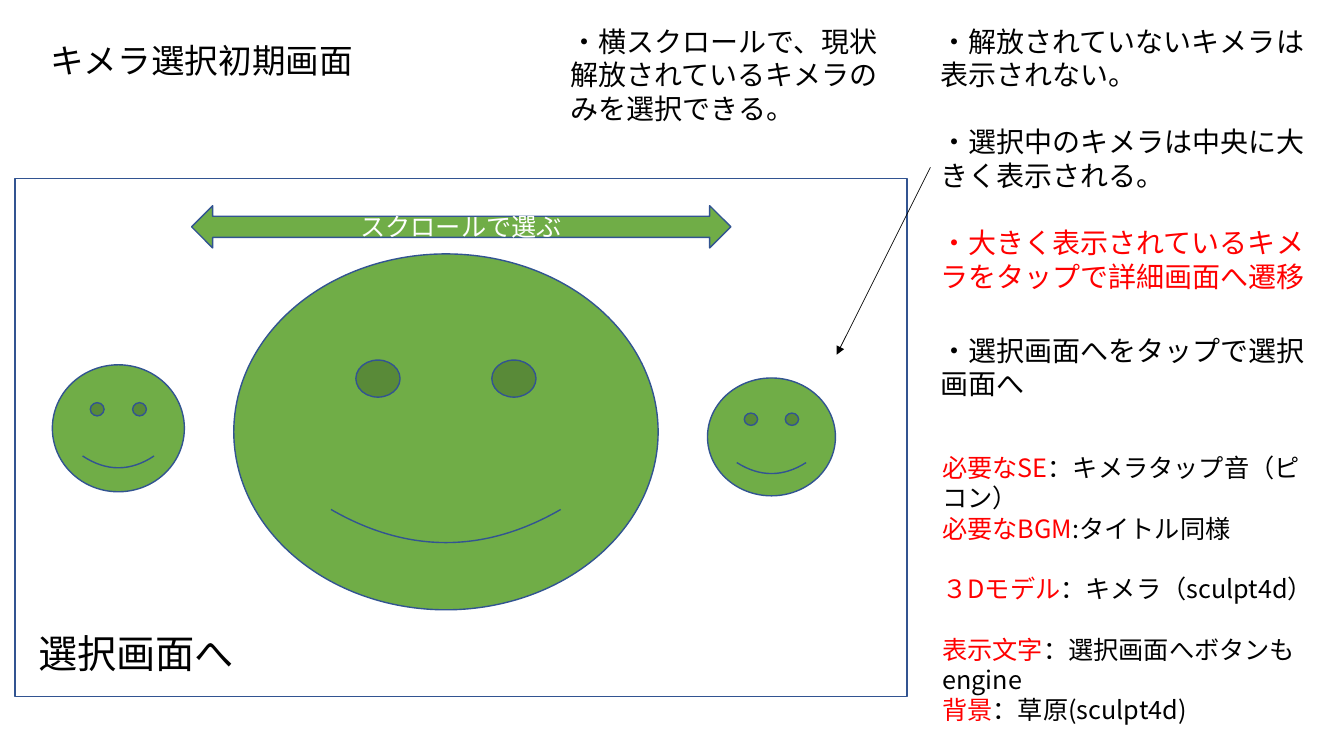
"""Build the initial chimera selection screen slide."""
from dataclasses import dataclass

from lxml.etree import SubElement
from pptx import Presentation
from pptx.dml.color import RGBColor
from pptx.enum.shapes import MSO_CONNECTOR as Connector, MSO_SHAPE as Shape
from pptx.enum.text import MSO_ANCHOR as Anchor, MSO_AUTO_SIZE as AutoSize, PP_ALIGN as Align
from pptx.oxml.ns import qn
from pptx.util import Pt


@dataclass(frozen=True)
class Theme:
    font: str = "Noto Sans CJK JP"
    black: str = "000000"
    white: str = "FFFFFF"
    red: str = "FF0000"
    green: str = "70AD47"
    outline: str = "325491"
    title: int = 24
    note: int = 20
    button: int = 28
    label: int = 18
    leading: float = 1.2
    border: float = 1
    pointer: float = 0.5


class Sketch:
    def __init__(self, page, theme):
        self.page = page
        self.theme = theme

    def style(self, para, size, color, gap=0, align=Align.LEFT):
        para.alignment = align
        para.line_spacing = Pt(size * self.theme.leading)
        para.space_before = Pt(gap)
        para.space_after = Pt(0)
        para.font.size = Pt(size)
        para.font.name = self.theme.font
        para.font.color.rgb = RGBColor.from_string(color)
        for latin in list(para._p.iter(qn("a:latin"))):
            east = SubElement(latin.getparent(), qn("a:ea"), typeface=self.theme.font)
            latin.addnext(east)

    def title(self, text, left, top, width, height):
        box = self.page.shapes.title
        box.left, box.top, box.width, box.height = map(Pt, (left, top, width, height))
        frame = box.text_frame
        frame.text = text
        frame.vertical_anchor = Anchor.TOP
        frame.auto_size = AutoSize.NONE
        self.style(frame.paragraphs[0], self.theme.title, self.theme.black)

    def text(self, items, size, left, top, width, height):
        box = self.page.shapes.add_textbox(*map(Pt, (left, top, width, height)))
        frame = box.text_frame
        frame.word_wrap = True
        for index, (heading, body, color, gap) in enumerate(items):
            para = frame.add_paragraph() if index else frame.paragraphs[0]
            if heading:
                span = para.add_run()
                span.text = heading
                span.font.color.rgb = RGBColor.from_string(self.theme.red)
            para.add_run().text = body
            self.style(para, size, color, gap)

    def shape(self, kind, fill, left, top, width, height, text=""):
        item = self.page.shapes.add_shape(kind, *map(Pt, (left, top, width, height)))
        item.shadow.inherit = False
        item.fill.solid()
        item.fill.fore_color.rgb = RGBColor.from_string(fill)
        item.line.color.rgb = RGBColor.from_string(self.theme.outline)
        item.line.width = Pt(self.theme.border)
        if text:
            frame = item.text_frame
            frame.text = text
            frame.word_wrap = True
            frame.vertical_anchor = Anchor.MIDDLE
            self.style(frame.paragraphs[0], self.theme.label, self.theme.white, align=Align.CENTER)

    def arrow(self, start_x, start_y, end_x, end_y):
        line = self.page.shapes.add_connector(
            Connector.STRAIGHT, *map(Pt, (start_x, start_y, end_x, end_y)))
        line.line.color.rgb = RGBColor.from_string(self.theme.black)
        line.line.width = Pt(self.theme.pointer)
        SubElement(line.line._get_or_add_ln(), qn("a:tailEnd"), type="triangle")
        SubElement(line._element.spPr, qn("a:effectLst"))


def main():
    theme = Theme()
    deck = Presentation()
    deck.slide_width, deck.slide_height = Pt(960), Pt(540)
    sketch = Sketch(deck.slides.add_slide(deck.slide_layouts[5]), theme)
    black, red = theme.black, theme.red
    note_gap = theme.note * theme.leading
    wide_gap = theme.title * theme.leading
    asset_gap = theme.label * theme.leading

    sketch.title("キメラ選択初期画面", 28.8, 25.2, 280, 36)
    sketch.shape(Shape.FLOWCHART_PROCESS, theme.white, 10.8, 127.4, 637.2, 370)
    chimeras = [
        (167, 181.4, 303.1, 254.2),
        (37.4, 260.6, 94.3, 90.7),
        (505.4, 270, 91.4, 84.2),
    ]
    for place in chimeras:
        sketch.shape(Shape.SMILEY_FACE, theme.green, *place)

    rules = [
        ("", "・解放されていないキメラは表示されない。", black, 0),
        ("", "・選択中のキメラは中央に大きく表示される。", black, note_gap),
        ("", "・大きく表示されているキメラをタップで詳細画面へ遷移", red, note_gap),
        ("", "・選択画面へをタップで選択画面へ", black, wide_gap),
    ]
    sketch.text(rules, theme.note, 664.6, 13.7, 280, 278.6)
    sketch.text([("", "選択画面へ", black, 0)], theme.button, 20.2, 445.7, 198, 41)
    sketch.shape(Shape.LEFT_RIGHT_ARROW, theme.green, 136.8, 146.9, 385.2, 30.2,
                 "スクロールで選ぶ")

    assets = [
        ("必要なSE", "：キメラタップ音（ピ　\tコン）", black, 0),
        ("必要なBGM", ":タイトル同様", black, 0),
        ("３Dモデル", "：キメラ（sculpt4d）", black, asset_gap),
        ("表示文字", "：選択画面へボタンも\tengine", black, asset_gap),
        ("背景", "：草原(sculpt4d)", black, 0),
    ]
    sketch.text(assets, theme.label, 666, 319.7, 293, 203.8)
    sketch.arrow(664.6, 119.5, 597.6, 253.4)
    scroll = "・横スクロールで、現状解放されているキメラのみを選択できる。"
    sketch.text([("", scroll, black, 0)], theme.note, 400.3, 13.7, 242.6, 80)
    deck.save("out.pptx")


main()
